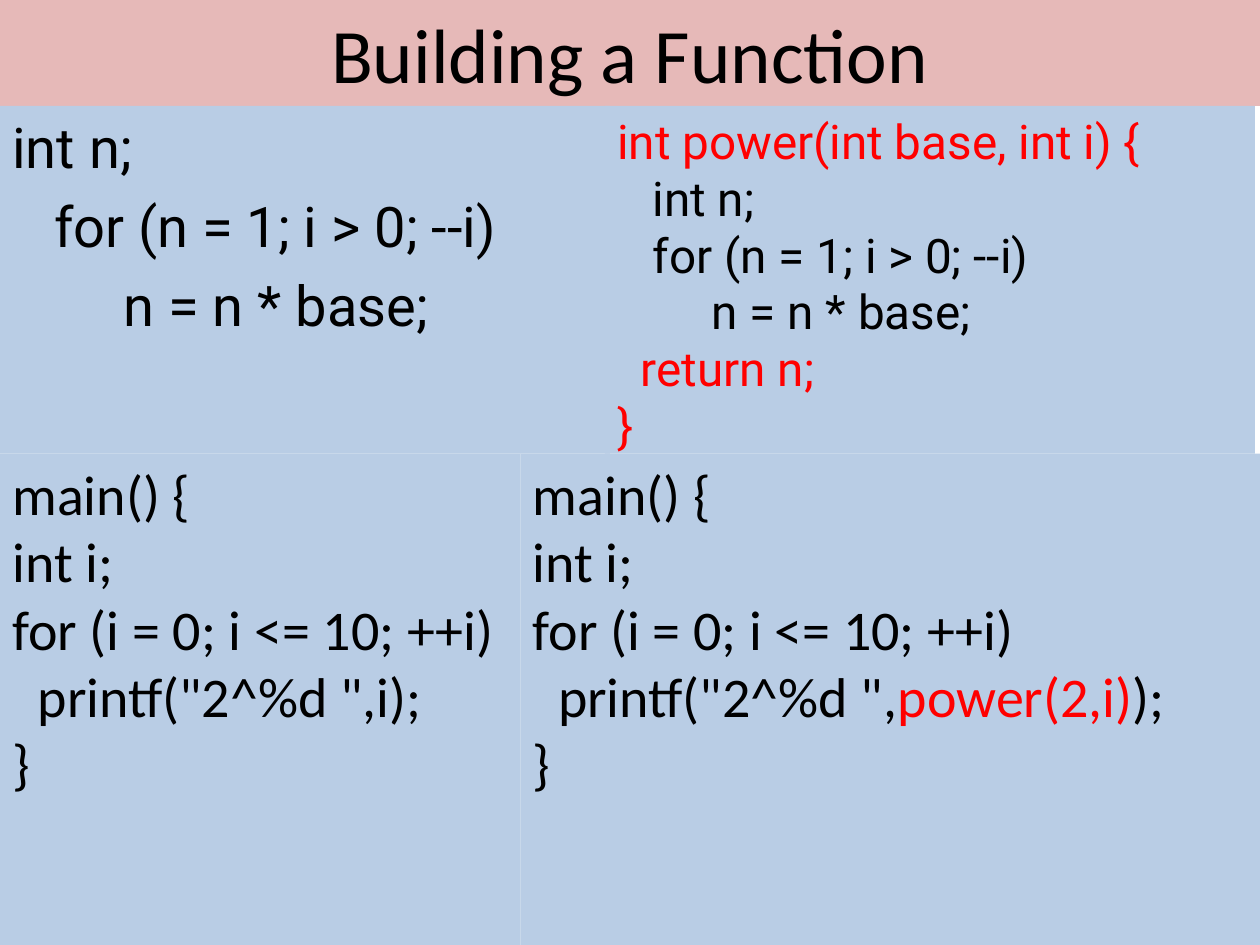
from pptx import Presentation
from pptx.dml.color import RGBColor
from pptx.enum.shapes import MSO_SHAPE
from pptx.enum.text import MSO_ANCHOR, PP_ALIGN
from pptx.util import Inches, Pt

RECT = MSO_SHAPE.RECTANGLE
TOP, MIDDLE = MSO_ANCHOR.TOP, MSO_ANCHOR.MIDDLE
LEFT, CENTER = PP_ALIGN.LEFT, PP_ALIGN.CENTER

WIDTH, HEIGHT = 10, 7.5
TITLE_BOTTOM, CODE_BOTTOM = 0.84, 3.6
FUNCTION_LEFT, MAIN_SPLIT = 4.8, 4.13
PINK, BLUE, BLACK, RED = "E6B9B8", "B9CDE5", "000000", "FF0000"


def rgb(value):
    return RGBColor.from_string(value)


def add_panel(slide, left, top, right, bottom, fill, anchor=TOP):
    """Add a borderless rectangle between the given edges; return its text frame."""
    sp = slide.shapes.add_shape(RECT, Inches(left), Inches(top),
                                Inches(right - left), Inches(bottom - top))
    sp.shadow.inherit = False
    sp.fill.solid()
    sp.fill.fore_color.rgb = rgb(fill)
    sp.line.fill.background()
    tf = sp.text_frame
    tf.word_wrap = True
    tf.vertical_anchor = anchor
    return tf


def add_line(tf, runs, font, size, align=LEFT, before=0, spacing=1.0):
    """Add a paragraph of (text, colour) runs, using the empty first one if free."""
    first = tf.paragraphs[0]
    is_first = not first.runs
    p = first if is_first else tf.add_paragraph()
    p.alignment = align
    p.line_spacing = spacing
    p.space_before = Pt(0 if is_first else before)
    for text, color in runs:
        r = p.add_run()
        r.text = text
        r.font.name = font
        r.font.size = Pt(size)
        r.font.color.rgb = rgb(color)


def add_loop_panel(slide, loop):
    tf = add_panel(slide, 0, TITLE_BOTTOM, FUNCTION_LEFT + 0.04, CODE_BOTTOM, BLUE)
    for text in loop:
        add_line(tf, [(text, BLACK)], "Roboto", 32, before=7)


def add_function_panel(slide, loop):
    """Show the loop wrapped in the function's new lines, marked in red."""
    tf = add_panel(slide, FUNCTION_LEFT, TITLE_BOTTOM, WIDTH - 0.04, CODE_BOTTOM, BLUE)
    style = {"font": "Roboto", "size": 27.2}
    add_line(tf, [("int power(int base, int i) {", RED)], **style)
    for text in loop:
        add_line(tf, [("   " + text if text == loop[0] else text, BLACK)],
                 before=6.2, spacing=0.8, **style)
    for text in ("  return n;", "}"):
        add_line(tf, [(text, RED)], **style)


def add_main_panel(slide, left, right, print_runs):
    tf = add_panel(slide, left, CODE_BOTTOM, right, HEIGHT, BLUE)
    lines = [[("main() {", BLACK)],
             [("int i;", BLACK)],
             [("for (i = 0; i <= 10; ++i)", BLACK)],
             print_runs,
             [("}", BLACK)]]
    for runs in lines:
        add_line(tf, runs, "Calibri", 32)


def main():
    prs = Presentation()
    prs.slide_width, prs.slide_height = Inches(WIDTH), Inches(HEIGHT)
    slide = prs.slides.add_slide(prs.slide_layouts[6])

    title = add_panel(slide, 0, 0, WIDTH, TITLE_BOTTOM, PINK, MIDDLE)
    add_line(title, [("Building a Function", BLACK)], "Calibri", 44, CENTER)

    loop = ["int n;", "   for (n = 1; i > 0; --i)", "        n = n * base;"]
    add_loop_panel(slide, loop)
    add_function_panel(slide, loop)

    add_main_panel(slide, 0, MAIN_SPLIT, [('  printf("2^%d ",i);', BLACK)])
    add_main_panel(slide, MAIN_SPLIT, WIDTH,
                   [('  printf("2^%d ",', BLACK), ("power(2,i)", RED), (");", BLACK)])

    prs.save("out.pptx")


if __name__ == "__main__":
    main()
